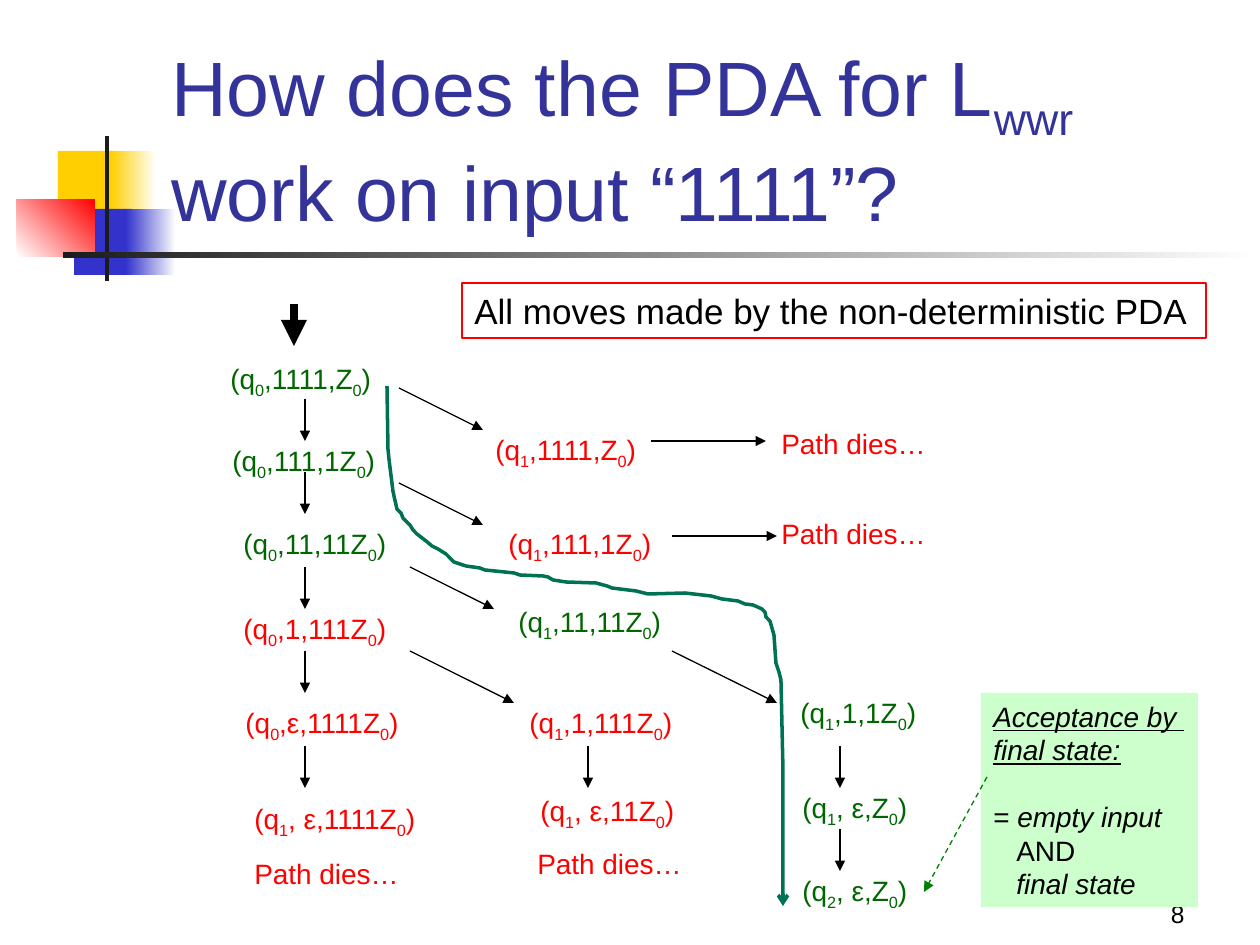
from dataclasses import dataclass
from typing import Optional

from lxml import etree
from pptx import Presentation
from pptx.dml.color import RGBColor
from pptx.enum.dml import MSO_LINE
from pptx.enum.shapes import MSO_CONNECTOR, MSO_SHAPE
from pptx.enum.text import MSO_ANCHOR, MSO_AUTO_SIZE, PP_ALIGN
from pptx.oxml.ns import qn
from pptx.util import Emu, Pt

PX = 914400 / 126
FONT = "Arial"
RECTANGLE = MSO_SHAPE.RECTANGLE
STRAIGHT = MSO_CONNECTOR.STRAIGHT
BOTTOM = MSO_ANCHOR.BOTTOM
FIT_SHAPE = MSO_AUTO_SIZE.SHAPE_TO_FIT_TEXT
COLORS = {
    "white": "FFFFFF", "black": "000000", "charcoal": "1C1C1C",
    "yellow": "FFCF01", "blue": "3333CC", "title": "333399",
    "red": "FF0000", "live": "006600", "pointer": "008000",
    "accepting": "007254", "note": "CCFFCC",
}


@dataclass
class Block:
    x: int
    y: int
    w: int
    h: int
    color: str
    fade_to: Optional[str] = None
    angle: int = 0


@dataclass
class Configuration:
    """One PDA configuration: (q<state><rest>0) with subscript digits."""
    x: int
    y: int
    w: int
    state: str
    rest: str
    color: str


@dataclass
class Arrow:
    x1: int
    y1: int
    x2: int
    y2: int
    color: str = "black"
    width: float = 0.75
    dashed: bool = False


DECORATION = [
    Block(58, 151, 60, 66, "yellow"),
    Block(111, 151, 45, 66, "yellow", "white"),
    Block(74, 209, 58, 66, "blue"),
    Block(126, 209, 50, 66, "blue", "white"),
    Block(17, 199, 78, 58, "white", "red", 45),
    Block(105, 136, 4, 145, "charcoal"),
    Block(63, 252, 1197, 6, "charcoal", "white"),
]

CONFIGURATIONS = [
    Configuration(218, 355, 176, "0", ",1111,Z", "live"),
    Configuration(220, 437, 176, "0", ",111,1Z", "live"),
    Configuration(231, 520, 176, "0", ",11,11Z", "live"),
    Configuration(231, 605, 176, "0", ",1,111Z", "red"),
    Configuration(233, 699, 208, "0", ",ε,1111Z", "red"),
    Configuration(242, 795, 197, "1", ", ε,1111Z", "red"),
    Configuration(528, 787, 176, "1", ", ε,11Z", "red"),
    Configuration(517, 699, 197, "1", ",1,111Z", "red"),
    Configuration(506, 598, 186, "1", ",11,11Z", "live"),
    Configuration(496, 520, 176, "1", ",111,1Z", "red"),
    Configuration(483, 426, 176, "1", ",1111,Z", "red"),
    Configuration(788, 689, 189, "1", ",1,1Z", "live"),
    Configuration(790, 784, 145, "1", ", ε,Z", "live"),
    Configuration(790, 867, 145, "2", ", ε,Z", "live"),
]

DEAD_ENDS = [(769, 420), (769, 510), (525, 840), (242, 850)]

STEP = 42
STEPS_DOWN = [(305, 399), (305, 472), (305, 567), (305, 651), (305, 746),
              (588, 746), (840, 746), (840, 829)]
ARROWS = [Arrow(x, y, x, y + STEP) for x, y in STEPS_DOWN] + [
    Arrow(399, 388, 483, 430),
    Arrow(399, 483, 483, 525),
    Arrow(410, 567, 494, 609),
    Arrow(410, 651, 514, 703),
    Arrow(672, 651, 777, 703),
    Arrow(651, 441, 766, 441),
    Arrow(672, 536, 777, 536),
    Arrow(294, 304, 294, 346, width=5),
]

ACCEPTING_ROUTE = [
    (387, 386), (388, 449), (389, 459), (393, 491), (394, 496), (397, 509),
    (401, 513), (403, 518), (410, 525), (413, 530), (417, 534), (426, 541),
    (432, 546), (438, 549), (446, 554), (454, 562), (466, 566), (480, 568),
    (485, 570), (514, 573), (520, 575), (543, 576), (548, 577), (553, 580),
    (566, 582), (596, 583), (607, 586), (612, 588), (636, 591), (648, 594),
    (685, 593), (711, 596), (722, 599), (738, 601), (745, 604), (753, 605),
    (762, 609), (765, 612), (766, 617), (770, 621), (774, 635), (776, 663),
    (779, 672), (781, 680), (783, 770), (783, 906),
]


def px(value: float) -> Emu:
    return Emu(round(value * PX))


def rgb(name: str) -> RGBColor:
    return RGBColor.from_string(COLORS[name])


def set_font(paragraph, size: int, color: str) -> None:
    paragraph.font.name = FONT
    paragraph.font.size = Pt(size)
    paragraph.font.color.rgb = rgb(color)


def add_run(paragraph, text: str, subscript: bool = False) -> None:
    run = paragraph.add_run()
    run.text = text
    if subscript:
        run.font._element.set("baseline", "-25000")


def add_text(slide, x: int, y: int, w: int, h: int, size: int, color: str,
             text: str = ""):
    box = slide.shapes.add_textbox(px(x), px(y), px(w), px(h))
    box.text_frame.word_wrap = True
    paragraph = box.text_frame.paragraphs[0]
    set_font(paragraph, size, color)
    if text:
        add_run(paragraph, text)
    return box


def add_block(slide, block: Block) -> None:
    shape = slide.shapes.add_shape(RECTANGLE, px(block.x), px(block.y),
                                   px(block.w), px(block.h))
    shape.shadow.inherit = False
    shape.line.fill.background()
    if block.fade_to is None:
        shape.fill.solid()
        shape.fill.fore_color.rgb = rgb(block.color)
        return
    shape.fill.gradient()
    shape.fill.gradient_angle = block.angle
    for stop, color in zip(shape.fill.gradient_stops, (block.color, block.fade_to)):
        stop.color.rgb = rgb(color)


def add_configuration(slide, item: Configuration) -> None:
    box = add_text(slide, item.x, item.y, item.w, 47, 16, item.color)
    pieces = ("(q", item.state, item.rest, "0", ")")
    for index, piece in enumerate(pieces):
        add_run(box.text_frame.paragraphs[0], piece, subscript=index % 2 == 1)


def style_line(line, color: str, width: float, head: str) -> None:
    line.color.rgb = rgb(color)
    line.width = Pt(width)
    etree.SubElement(line._get_or_add_ln(), qn("a:tailEnd"), type=head)


def add_arrow(slide, arrow: Arrow) -> None:
    connector = slide.shapes.add_connector(STRAIGHT, px(arrow.x1), px(arrow.y1),
                                           px(arrow.x2), px(arrow.y2))
    if arrow.dashed:
        connector.line.dash_style = MSO_LINE.DASH
    style_line(connector.line, arrow.color, arrow.width, "triangle")
    etree.SubElement(connector._element.spPr, qn("a:effectLst"))


def add_acceptance_note(slide) -> None:
    note = add_text(slide, 981, 693, 217, 214, 16, "black")
    note.fill.solid()
    note.fill.fore_color.rgb = rgb("note")
    frame = note.text_frame
    frame.word_wrap = False
    frame.auto_size = FIT_SHAPE
    heading = frame.paragraphs[0]
    add_run(heading, "Acceptance by ")
    heading_end, empty_input, conjunction, final_state = (
        frame.add_paragraph() for _ in range(4))
    for paragraph in (heading_end, empty_input, conjunction, final_state):
        set_font(paragraph, 16, "black")
    add_run(heading_end, "final state:")
    add_run(empty_input, "= ")
    add_run(empty_input, "empty input")
    add_run(conjunction, "AND")
    add_run(final_state, "final state")
    for paragraph in (heading, heading_end):
        paragraph.font.underline = True
    for paragraph in (heading, heading_end, final_state):
        paragraph.font.italic = True
    empty_input.runs[1].font.italic = True
    empty_input.space_before = Pt(19)
    for paragraph in (conjunction, final_state):
        paragraph._p.get_or_add_pPr().set("marL", str(px(23)))


def main() -> None:
    prs = Presentation()
    prs.slide_width, prs.slide_height = px(1260), px(945)
    slide = prs.slides.add_slide(prs.slide_layouts[6])

    for block in DECORATION:
        add_block(slide, block)

    number = add_text(slide, 935, 872, 262, 63, 14, "black", "8")
    number.text_frame.vertical_anchor = BOTTOM
    number.text_frame.paragraphs[0].alignment = PP_ALIGN.RIGHT

    title = add_text(slide, 159, 86, 1073, 157, 44, "title", "How does the PDA for L")
    title.text_frame.vertical_anchor = BOTTOM
    add_run(title.text_frame.paragraphs[0], "wwr", subscript=True)
    add_run(title.text_frame.paragraphs[0], " work on input “1111”?")

    for item in CONFIGURATIONS:
        add_configuration(slide, item)
    for x, y in DEAD_ENDS:
        add_text(slide, x, y, 186, 47, 16, "red", "Path dies…")
    for arrow in ARROWS:
        add_arrow(slide, arrow)

    add_acceptance_note(slide)
    add_arrow(slide, Arrow(987, 777, 924, 892, "pointer", dashed=True))

    caption = add_text(slide, 462, 283, 744, 55, 20, "black",
                       "All moves made by the non-deterministic PDA")
    caption.line.color.rgb = rgb("red")
    caption.line.width = Pt(0.75)

    builder = slide.shapes.build_freeform(*ACCEPTING_ROUTE[0], scale=PX)
    builder.add_line_segments(ACCEPTING_ROUTE[1:], close=False)
    route = builder.convert_to_shape()
    route.shadow.inherit = False
    route.fill.background()
    style_line(route.line, "accepting", 2, "arrow")

    prs.save("out.pptx")


if __name__ == "__main__":
    main()
